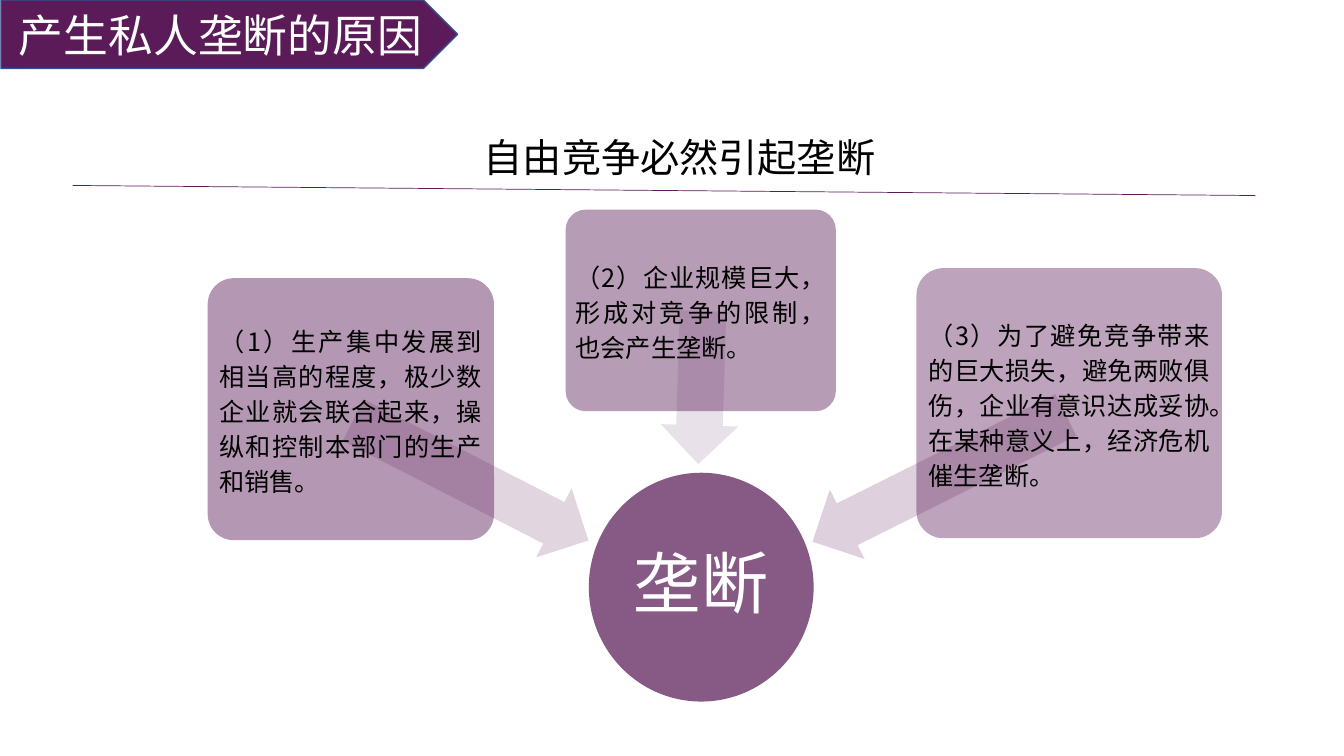
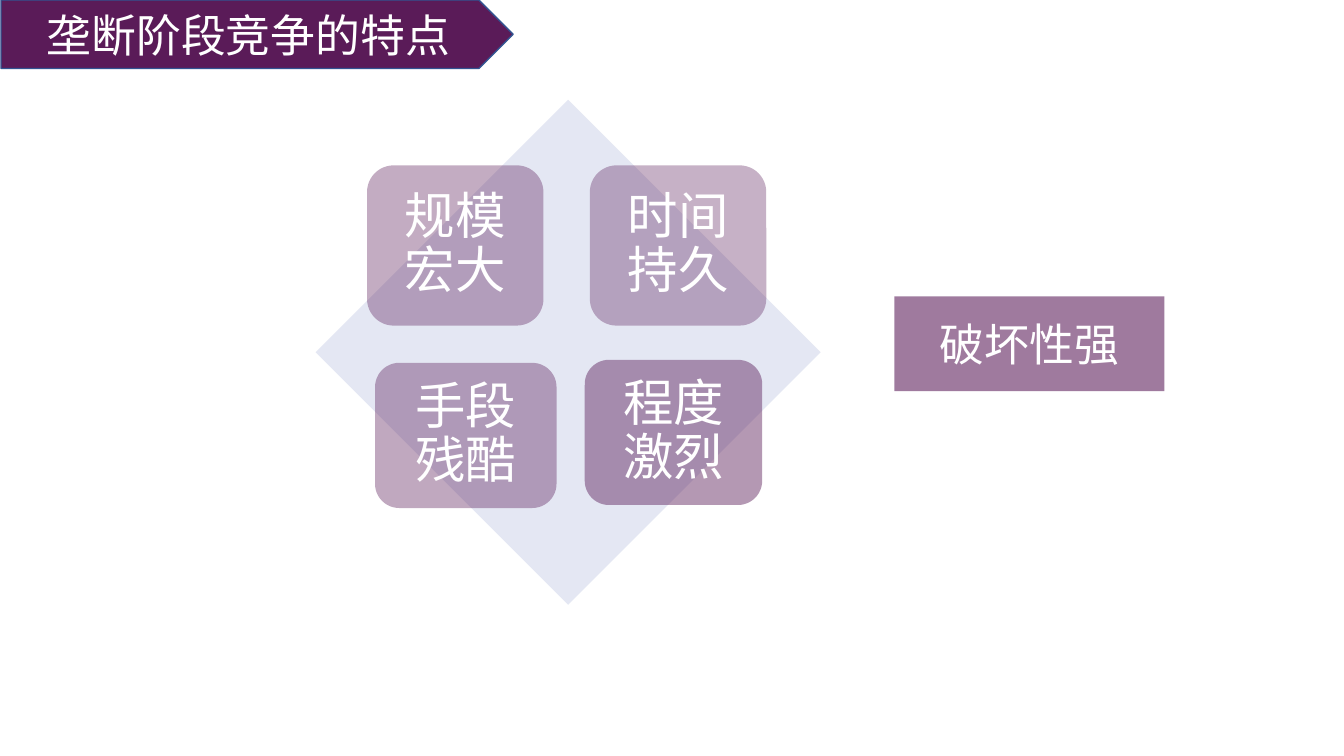
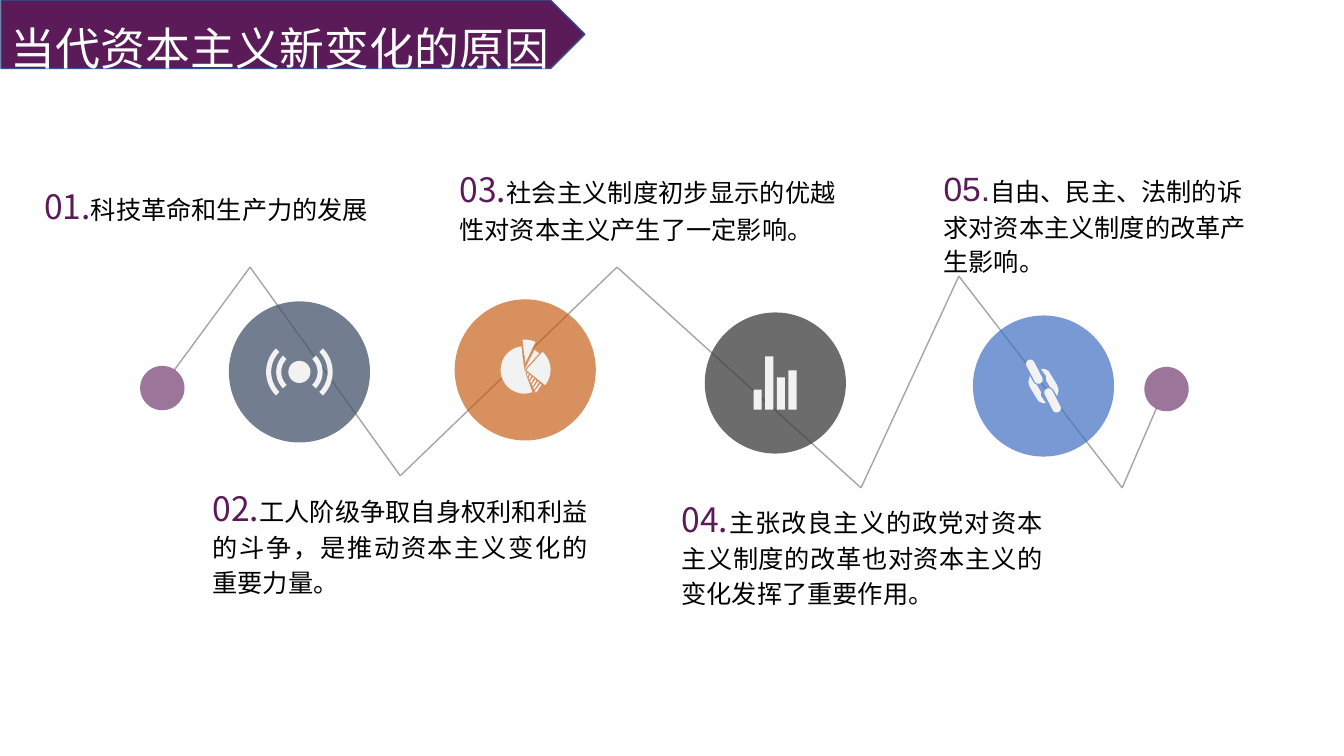
from itertools import pairwise
from math import atan2, cos, degrees, radians, sin

from lxml.etree import SubElement
from pptx import Presentation
from pptx.dml.color import RGBColor
from pptx.enum.shapes import MSO_CONNECTOR, MSO_SHAPE
from pptx.enum.text import MSO_ANCHOR, MSO_AUTO_SIZE, PP_ALIGN
from pptx.oxml.ns import qn
from pptx.util import Inches, Pt

COLORS = {
    "plum": "5A1B58",
    "navy": "325491",
    "mist": "CFD5EA",
    "slate": "44546A",
    "rust": "C55A11",
    "charcoal": "404040",
    "blue": "4472C4",
    "zigzag": "A5A5A5",
    "icon": "F2F2F2",
    "white": "FFFFFF",
    "black": "000000",
}
FONT = "Noto Sans CJK SC"
COLUMNS, ROWS = 133.3, 75


def cells(count):
    return Inches(count / 10)


def color(name):
    return RGBColor.from_string(COLORS[name])


def arc(x, y, radius, start, end, steps=24):
    angles = [radians(start + (end - start) * i / steps) for i in range(steps + 1)]
    return [(x + radius * cos(a), y + radius * sin(a)) for a in angles]


def band(x, y, inner, outer, start, end):
    return arc(x, y, outer, start, end) + arc(x, y, inner, end, start)


def wedge(x, y, radius, start, end):
    return [(x, y)] + arc(x, y, radius, start, end)


def capsule(x1, y1, x2, y2, radius):
    turn = degrees(atan2(y2 - y1, x2 - x1))
    return arc(x2, y2, radius, turn - 90, turn + 90) + arc(x1, y1, radius, turn + 90, turn + 270)


def bar(left, top, width, bottom):
    right = left + width
    return [(left, top), (right, top), (right, bottom), (left, bottom)]


def signal_icon(x, y):
    waves = [
        band(x, y, inner, outer, side - 45, side + 45)
        for inner, outer in ((1.8, 2.3), (2.8, 3.3))
        for side in (0, 180)
    ]
    return [arc(x, y, 1.1, 0, 360)] + waves


def pie_icon(x, y):
    stripes = []
    for i in range(7):
        top_x, top_y = x + 0.1 + 0.25 * i, y + 0.15 + 0.22 * i
        low_x, low_y = x + 0.1 + 0.16 * i, y + 0.35 + 0.32 * i
        stripes.append([
            (top_x, top_y), (low_x, low_y),
            (low_x - 0.1, low_y - 0.2), (top_x - 0.1, top_y - 0.1),
        ])
    return [
        wedge(x - 0.1, y, 2.35, 70, 263),
        wedge(x - 0.1, y, 2.2, -63, -48),
        wedge(x, y - 0.7, 2.3, -97, -64),
        wedge(x + 0.1, y, 2.4, -48, 39),
    ] + stripes


def bars_icon(x, y):
    return [
        bar(x - 2.15 + 1.15 * i, y + 2.65 - height, 0.8, y + 2.65)
        for i, height in enumerate((2, 5.3, 3.2, 3.9))
    ]


def chain_icon(x, y):
    bow = [
        (-0.25, -1.7), (0.1, -1.7), (0.5, -1.5), (0.75, -1.1), (1.35, -0.1), (1.5, 0.4),
        (1.35, 1), (0.95, 0.3), (0.65, 0.1), (0.25, -0.6), (0.25, -1),
    ]
    return [
        contour
        for side in (1, -1)
        for contour in (
            [(x + side * dx, y + side * dy) for dx, dy in bow],
            capsule(x + side * 0.5, y + side * 0.65, x + side * 1.3, y + side * 2.2, 0.42),
        )
    ]


class Deck:
    def __init__(self):
        self.presentation = Presentation()
        self.presentation.slide_width = cells(COLUMNS)
        self.presentation.slide_height = cells(ROWS)
        self.slide = None

    def start_slide(self, title, width, align=PP_ALIGN.CENTER, spacing=None):
        self.slide = self.presentation.slides.add_slide(self.presentation.slide_layouts[6])
        banner = self.shape(MSO_SHAPE.PENTAGON, 0.1, 0, width, 6.8)
        banner.line.color.rgb = color("navy")
        banner.line.width = Pt(1)
        self.set_text(banner, [(title, 32, "white", FONT)], align, spacing)

    def paint(self, shape, fill, opacity=100):
        shape.shadow.inherit = False
        shape.fill.solid()
        shape.fill.fore_color.rgb = color(fill)
        shape.line.fill.background()
        if opacity < 100:
            tint = shape._element.spPr.find(qn("a:solidFill"))[0]
            SubElement(tint, qn("a:alpha")).set("val", str(opacity * 1000))

    def shape(self, kind, left, top, width, height, fill="plum", opacity=100, adjust=(), turn=0):
        shape = self.slide.shapes.add_shape(
            kind, cells(left), cells(top), cells(width), cells(height))
        for i, value in enumerate(adjust):
            shape.adjustments[i] = value
        shape.rotation = turn
        self.paint(shape, fill, opacity)
        return shape

    def set_text(self, shape, runs, align=PP_ALIGN.CENTER, spacing=None, inset=None):
        frame = shape.text_frame
        frame.word_wrap = True
        if inset is not None:
            frame.margin_left = frame.margin_right = cells(inset)
            frame.margin_top = frame.margin_bottom = cells(inset)
        paragraph = frame.paragraphs[0]
        paragraph.alignment = align
        paragraph.line_spacing = spacing
        for text, size, tone, face in runs:
            run = paragraph.add_run()
            run.text = text
            run.font.size = Pt(size)
            run.font.name = face
            run.font.color.rgb = color(tone)
            SubElement(run._r.rPr, qn("a:ea")).set("typeface", FONT)

    def block(self, kind, box, text, size, opacity, tone="white", adjust=(), **style):
        shape = self.shape(kind, *box, opacity=opacity, adjust=adjust)
        shape.text_frame.vertical_anchor = MSO_ANCHOR.MIDDLE
        self.set_text(shape, [(text, size, tone, FONT)], **style)

    def text(self, left, top, width, height, runs, align=PP_ALIGN.LEFT, spacing=None):
        box = self.slide.shapes.add_textbox(cells(left), cells(top), cells(width), cells(height))
        self.set_text(box, runs, align, spacing)
        box.text_frame.auto_size = MSO_AUTO_SIZE.SHAPE_TO_FIT_TEXT

    def line(self, start, end, tone, width):
        line = self.slide.shapes.add_connector(
            MSO_CONNECTOR.STRAIGHT, *(cells(value) for value in (*start, *end)))
        line.line.color.rgb = color(tone)
        line.line.width = Pt(width)
        SubElement(line._element.spPr, qn("a:effectLst"))

    def outline(self, contours, fill):
        placed = [[(cells(x), cells(y)) for x, y in contour] for contour in contours]
        builder = self.slide.shapes.build_freeform(*placed[0][0])
        builder.add_line_segments(placed[0][1:])
        for contour in placed[1:]:
            builder.move_to(*contour[0])
            builder.add_line_segments(contour[1:])
        self.paint(builder.convert_to_shape(), fill)


def monopoly_causes(deck):
    deck.start_slide("产生私人垄断的原因", 45.3)
    deck.block(MSO_SHAPE.OVAL, (58.4, 46.9, 22.3, 22.7), "垄断", 48, 72, spacing=0.9, inset=0.3)
    causes = [
        ((33.6, 43.8, 26.2, 7.7), 207.1, 18, (20.6, 27.6, 28.4, 26), 45,
         "（1）生产集中发展到相当高的程度，极少数企业就会联合起来，操纵和控制本部门的生产和销售。"),
        ((61.9, 34.6, 15.2, 7.7), 271.8, 13, (56.1, 20.8, 26.8, 20), 43,
         "（2）企业规模巨大，形成对竞争的限制，也会产生垄断。"),
        ((79.1, 43.6, 28.1, 7.7), 333.4, 20, (90.9, 26.6, 30.3, 26.8), 40,
         "（3）为了避免竞争带来的巨大损失，避免两败俱伤，企业有意识达成妥协。在某种意义上，经济危机催生垄断。"),
    ]
    for arrow, turn, arrow_opacity, card, card_opacity, cause in causes:
        deck.shape(MSO_SHAPE.LEFT_ARROW, *arrow, opacity=arrow_opacity, adjust=(0.6, 0.5), turn=turn)
        deck.block(MSO_SHAPE.ROUNDED_RECTANGLE, card, cause, 18, card_opacity, "black", (0.1,),
                   align=PP_ALIGN.JUSTIFY, spacing=Pt(25), inset=0.4)
    deck.text(47, 12.7, 41.7, 5.7, [("自由竞争必然引起垄断", 28, "black", FONT)])
    deck.line((7.2, 18.4), (124.5, 19.4), "plum", 0.5)


def competition_traits(deck):
    deck.start_slide("垄断阶段竞争的特点", 50.8)
    deck.shape(MSO_SHAPE.DIAMOND, 31.3, 9.9, 50.1, 50.1, "mist", 56)
    traits = [
        ("规模宏大", (36.4, 16.4, 17.5, 15.9), 36),
        ("时间持久", (58.5, 16.4, 17.5, 15.9), 34),
        ("手段残酷", (37.2, 36, 18, 14.4), 38),
        ("程度激烈", (58, 35.7, 17.6, 14.4), 45),
    ]
    for trait, box, opacity in traits:
        deck.block(MSO_SHAPE.ROUNDED_RECTANGLE, box, trait, 36, opacity, spacing=0.9, inset=1.5)
    deck.block(MSO_SHAPE.RECTANGLE, (88.7, 29.4, 26.8, 9.4), "破坏性强", 32, 58)


def capitalism_changes(deck):
    deck.start_slide("当代资本主义新变化的原因", 57.9, PP_ALIGN.JUSTIFY, 1.5)
    zigzag = [
        (17.3, 36.7), (24.8, 26.5), (39.7, 47.2), (61.2, 26.5),
        (85.4, 48.4), (95.1, 27.4), (111.3, 48.4), (114.7, 40.5),
    ]
    for start, end in pairwise(zigzag):
        deck.line(start, end, "zigzag", 1)
    for left, top in ((113.5, 36.4), (13.9, 36.3)):
        deck.shape(MSO_SHAPE.OVAL, left, top, 4.4, 4.4, opacity=60)
    radius = 7
    medallions = [
        (29.7, 36.9, "slate", 75, signal_icon),
        (52.1, 36.7, "rust", 67, pie_icon),
        (76.9, 38, "charcoal", 77, bars_icon),
        (103.5, 38.3, "blue", 72, chain_icon),
    ]
    for x, y, fill, opacity, icon in medallions:
        deck.shape(MSO_SHAPE.OVAL, x - radius, y - radius, 2 * radius, 2 * radius, fill, opacity)
        deck.outline(icon(x, y), "icon")
    justify, left_align = PP_ALIGN.JUSTIFY, PP_ALIGN.LEFT
    reasons = [
        ((3.4, 18.5, 36.3, 4.5), justify, 25, FONT, "科技革命和生产力的发展"),
        ((20.1, 48.4, 39.2, 11.5), justify, 25, FONT,
         "工人阶级争取自身权利和利益的斗争，是推动资本主义变化的重要力量。"),
        ((44.6, 16.8, 39.3, 11.5), justify, 25, FONT,
         "社会主义制度初步显示的优越性对资本主义产生了一定影响。"),
        ((66.6, 49.5, 37.8, 11.5), justify, 25, FONT,
         "主张改良主义的政党对资本主义制度的改革也对资本主义的变化发挥了重要作用。"),
        ((92.6, 16.7, 33.9, 11.5), left_align, 24.6, "Arial",
         "自由、民主、法制的诉求对资本主义制度的改革产生影响。"),
    ]
    for number, (box, align, spacing, face, reason) in enumerate(reasons, 1):
        runs = [(f"{number:02}.", 24, "plum", face), (reason, 18, "black", face)]
        deck.text(*box, runs, align, Pt(spacing))


def main():
    deck = Deck()
    monopoly_causes(deck)
    competition_traits(deck)
    capitalism_changes(deck)
    deck.presentation.save("out.pptx")


if __name__ == "__main__":
    main()
